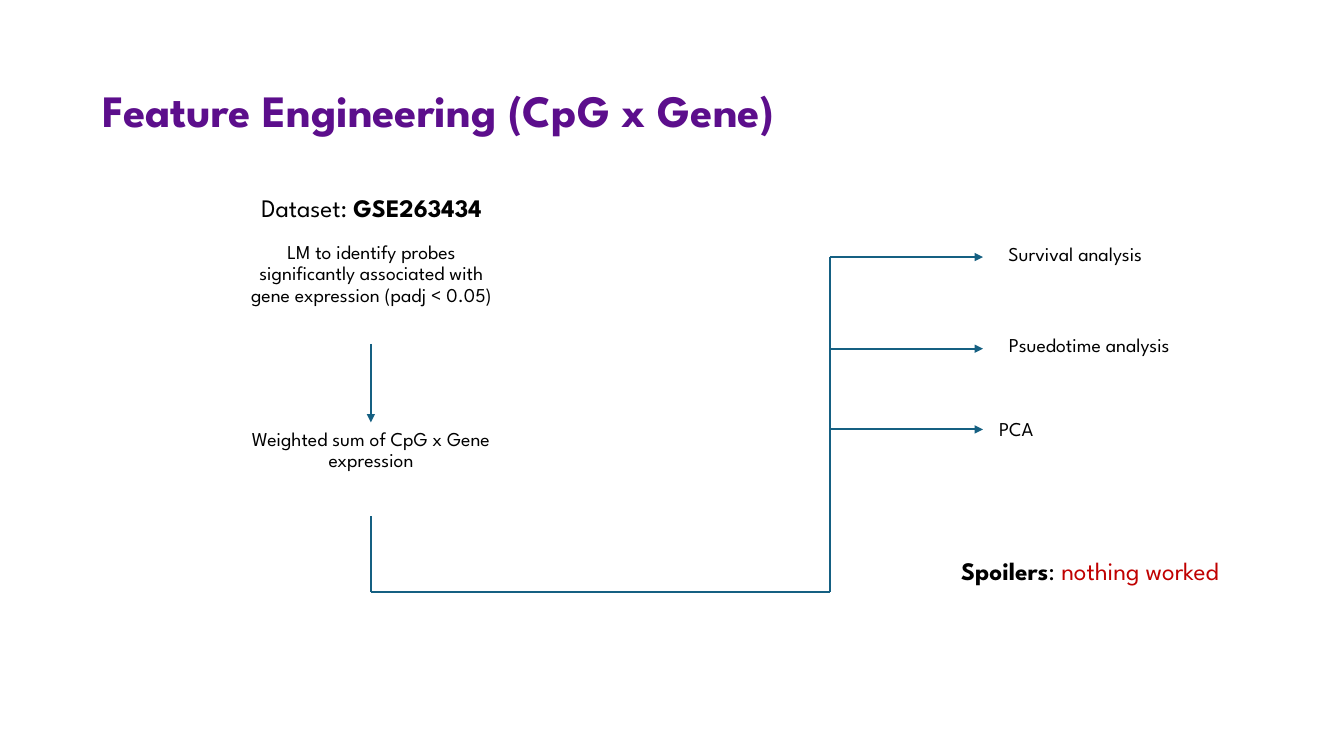
from dataclasses import dataclass

import pptx
import pptx.dml.color
import pptx.enum.shapes
import pptx.enum.text
import pptx.oxml
import pptx.oxml.ns
import pptx.util
from lxml import etree

WIDE, HIGH = 13.33, 7.5
FACE = "League Spartan"
BLACK, RED, PURPLE, BLUE = "000000", "C00000", "5C0E8C", "156082"
ALIGN = pptx.enum.text.PP_ALIGN
ANCHOR = pptx.enum.text.MSO_ANCHOR
FIT = pptx.enum.text.MSO_AUTO_SIZE


@dataclass
class Phrase:
    text: str
    bold: bool = False
    color: str = BLACK


@dataclass
class Label:
    left: float
    top: float
    width: float
    height: float
    words: list[Phrase]
    size: int = 14
    space: float = 0.9


@dataclass
class Line:
    x1: float
    y1: float
    x2: float
    y2: float
    arrow: bool = False


def across(share: float) -> int:
    return pptx.util.Inches(WIDE * share / 100)


def down(share: float) -> int:
    return pptx.util.Inches(HIGH * share / 100)


def paint(target, code: str) -> None:
    target.rgb = pptx.dml.color.RGBColor.from_string(code)


def write(shape, label: Label, align) -> None:
    frame = shape.text_frame
    frame.word_wrap = True
    para = frame.paragraphs[0]
    para.alignment = align
    para.line_spacing = label.space
    para.font.name = FACE
    para.font.size = pptx.util.Pt(label.size)
    for phrase in label.words:
        run = para.add_run()
        run.text = phrase.text
        run.font.bold = phrase.bold
        paint(run.font.color, phrase.color)


def place(label: Label) -> tuple[int, int, int, int]:
    return (across(label.left), down(label.top),
            across(label.width), down(label.height))


def head(slide, label: Label) -> None:
    title = slide.shapes.title
    title.left, title.top, title.width, title.height = place(label)
    title.text_frame.vertical_anchor = ANCHOR.MIDDLE
    write(title, label, ALIGN.LEFT)


def note(slide, label: Label) -> None:
    box = slide.shapes.add_textbox(*place(label))
    box.text_frame.auto_size = FIT.NONE
    write(box, label, ALIGN.CENTER)


def draw(slide, line: Line) -> None:
    link = slide.shapes.add_connector(
        pptx.enum.shapes.MSO_CONNECTOR.STRAIGHT,
        across(line.x1), down(line.y1), across(line.x2), down(line.y2))
    link.line.width = pptx.util.Pt(1.5)
    paint(link.line.color, BLUE)
    name = pptx.oxml.ns.qn
    shape = link._element.spPr
    if line.arrow:
        stroke = shape.find(name("a:ln"))
        etree.SubElement(stroke, name("a:tailEnd"), type="triangle")
    etree.SubElement(shape, name("a:effectLst"))


STEM, TRUNK, TIP = 27.6, 61.74, 73.14
FLOOR = 78.27
ROWS = [34, 46.13, 56.8]

TITLE = Label(6.9, 5.33, 86.27, 19.33,
              [Phrase("Feature Engineering (CpG x Gene)", True, PURPLE)], 32)

LABELS = [
    Label(17.63, 24.8, 20.03, 5.33,
          [Phrase("Dataset: "), Phrase("GSE263434", True)], 18, 1.0),
    Label(17.63, 31.47, 20.03, 9.07,
          [Phrase("LM to identify probes significantly associated with "
                  "gene expression (padj < 0.05)")]),
    Label(15.45, 56.13, 24.31, 9.07,
          [Phrase("Weighted sum of CpG x Gene expression")]),
    Label(TIP, 31.73, 13.73, 4.53, [Phrase("Survival analysis")]),
    Label(TIP, 43.73, 15.83, 4.53, [Phrase("Psuedotime analysis")]),
    Label(TIP, 54.8, 4.95, 4.53, [Phrase("PCA")]),
    Label(68.87, 72.8, 24.46, 5.33,
          [Phrase("Spoilers", True), Phrase(": "),
           Phrase("nothing worked", color=RED)], 18, 1.0),
]

LINES = [
    Line(STEM, 45.47, STEM, 55.87, True),
    Line(STEM, FLOOR, STEM, 68.27),
    Line(TRUNK, FLOOR, STEM, FLOOR),
    Line(TRUNK, ROWS[0], TRUNK, FLOOR),
    *[Line(TRUNK, row, TIP, row, True) for row in ROWS],
]


def main() -> None:
    deck = pptx.Presentation()
    deck.slide_width, deck.slide_height = across(100), down(100)
    slide = deck.slides.add_slide(deck.slide_layouts[5])
    head(slide, TITLE)
    for line in LINES:
        draw(slide, line)
    for label in LABELS:
        note(slide, label)
    deck.save("out.pptx")


if __name__ == "__main__":
    main()
